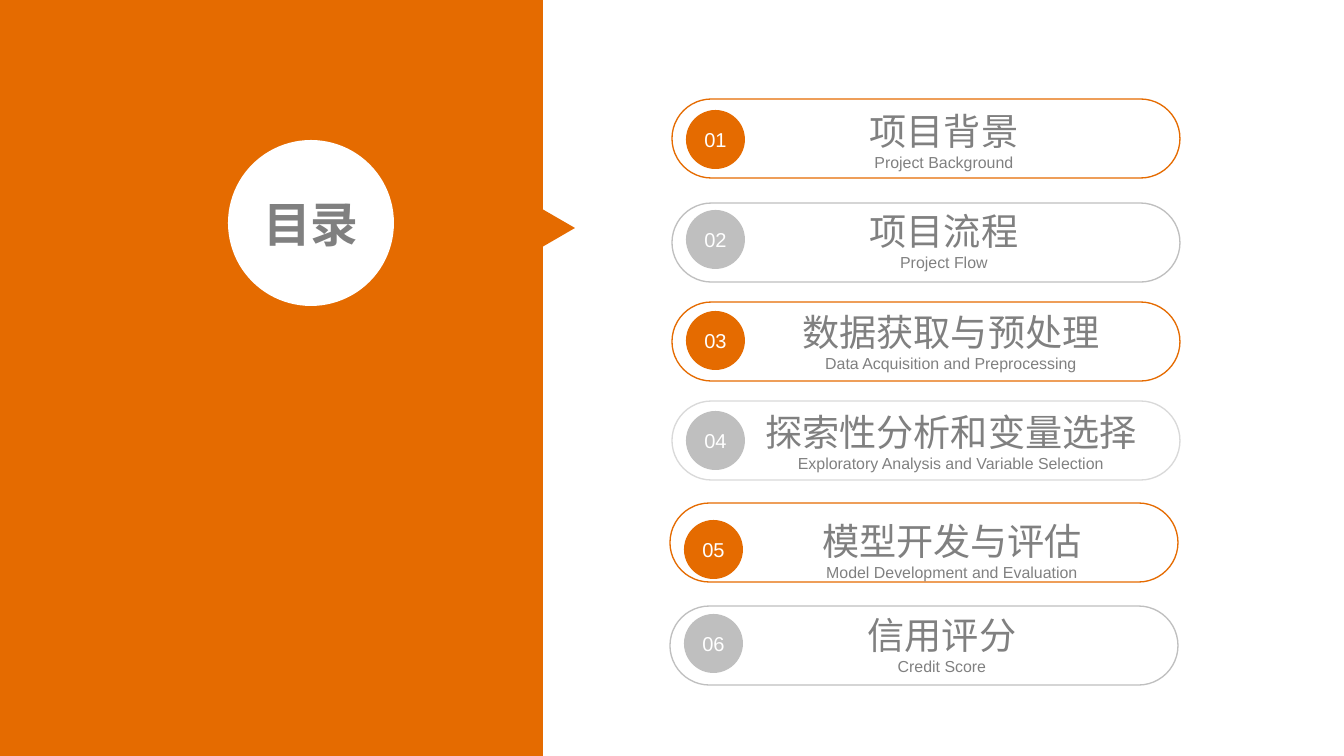
from pptx import Presentation
from pptx.dml.color import RGBColor
from pptx.enum.shapes import MSO_SHAPE as Preset
from pptx.enum.text import MSO_ANCHOR as Anchor, PP_ALIGN as Align
from pptx.util import Pt

PX = 914400 / 95.6
FONT = "Arial"
COLOURS = {
    "orange": "E56B00",
    "white": "FFFFFF",
    "text": "808080",
    "grey": "BFBFBF",
    "pale": "D9D9D9",
}
ROW_WIDTH, ROW_HEIGHT = 508, 79
BADGE_LEFT, BADGE_SIZE = 14, 59
LABEL_WIDTH, LABEL_HEIGHT = 394, 64

# left, top, outline, badge colour, badge offset, label centre, wording
ROWS = [
    (672, 99, "orange", "orange", 11, 272, "项目背景", "Project Background"),
    (672, 203, "grey", "grey", 7, 272, "项目流程", "Project Flow"),
    (672, 302, "orange", "orange", 9, 279, "数据获取与预处理", "Data Acquisition and Preprocessing"),
    (672, 401, "pale", "grey", 10, 279, "探索性分析和变量选择", "Exploratory Analysis and Variable Selection"),
    (670, 503, "orange", "orange", 17, 282, "模型开发与评估", "Model Development and Evaluation"),
    (670, 606, "grey", "grey", 8, 272, "信用评分", "Credit Score"),
]


def emu(*lengths):
    return [round(length * PX) for length in lengths]


def colour(name):
    return RGBColor.from_string(COLOURS[name])


def add_preset(slide, preset, box, fill=None, line=None):
    shape = slide.shapes.add_shape(preset, *emu(*box))
    shape.shadow.inherit = False
    if fill:
        shape.fill.solid()
        shape.fill.fore_color.rgb = colour(fill)
    else:
        shape.fill.background()
    if line:
        shape.line.color.rgb = colour(line)
        shape.line.width = Pt(1)
    else:
        shape.line.fill.background()
    return shape


def write_lines(shape, text, sizes, name, bold=False):
    frame = shape.text_frame
    frame.text = text
    frame.word_wrap = True
    frame.vertical_anchor = Anchor.MIDDLE
    frame.margin_left = frame.margin_right = frame.margin_top = frame.margin_bottom = 0
    for paragraph, size in zip(frame.paragraphs, sizes):
        paragraph.alignment = Align.CENTER
        font = paragraph.runs[0].font
        font.name = FONT
        font.size = Pt(size)
        font.bold = bold
        font.color.rgb = colour(name)


def add_title_panel(slide, left, top, width, height):
    pointer = add_preset(slide, Preset.ISOSCELES_TRIANGLE,
                         (left + width - 9, top + 209, 44, 38), "orange")
    pointer.rotation = 90
    add_preset(slide, Preset.RECTANGLE, (left, top, width, height), "orange")
    circle = (left + 228, top + 140, 166, 166)
    add_preset(slide, Preset.OVAL, circle, "white")
    title = slide.shapes.title
    title.left, title.top, title.width, title.height = emu(*circle)
    write_lines(title, "目录", [36], "text", bold=True)
    title.element.getparent().append(title.element)


def add_agenda_row(slide, left, top, number, outline, badge_fill, offset, centre, heading, subtitle):
    pill = add_preset(slide, Preset.ROUNDED_RECTANGLE,
                      (left, top, ROW_WIDTH, ROW_HEIGHT), line=outline)
    pill.adjustments[0] = 0.5
    badge = add_preset(slide, Preset.OVAL,
                       (left + BADGE_LEFT, top + offset, BADGE_SIZE, BADGE_SIZE), badge_fill)
    write_lines(badge, f"{number:02d}", [15.1], "white")
    label = slide.shapes.add_textbox(*emu(left + centre - LABEL_WIDTH / 2, top + offset - 2,
                                          LABEL_WIDTH, LABEL_HEIGHT))
    write_lines(label, f"{heading}\n{subtitle}", [28, 12], "text")


def main():
    presentation = Presentation()
    presentation.slide_width, presentation.slide_height = emu(1344, 756)
    slide = presentation.slides.add_slide(presentation.slide_layouts[5])
    add_title_panel(slide, 0, 0, 543, 756)
    for number, (left, top, *details) in enumerate(ROWS, 1):
        add_agenda_row(slide, left, top, number, *details)
    presentation.save("out.pptx")


if __name__ == "__main__":
    main()
